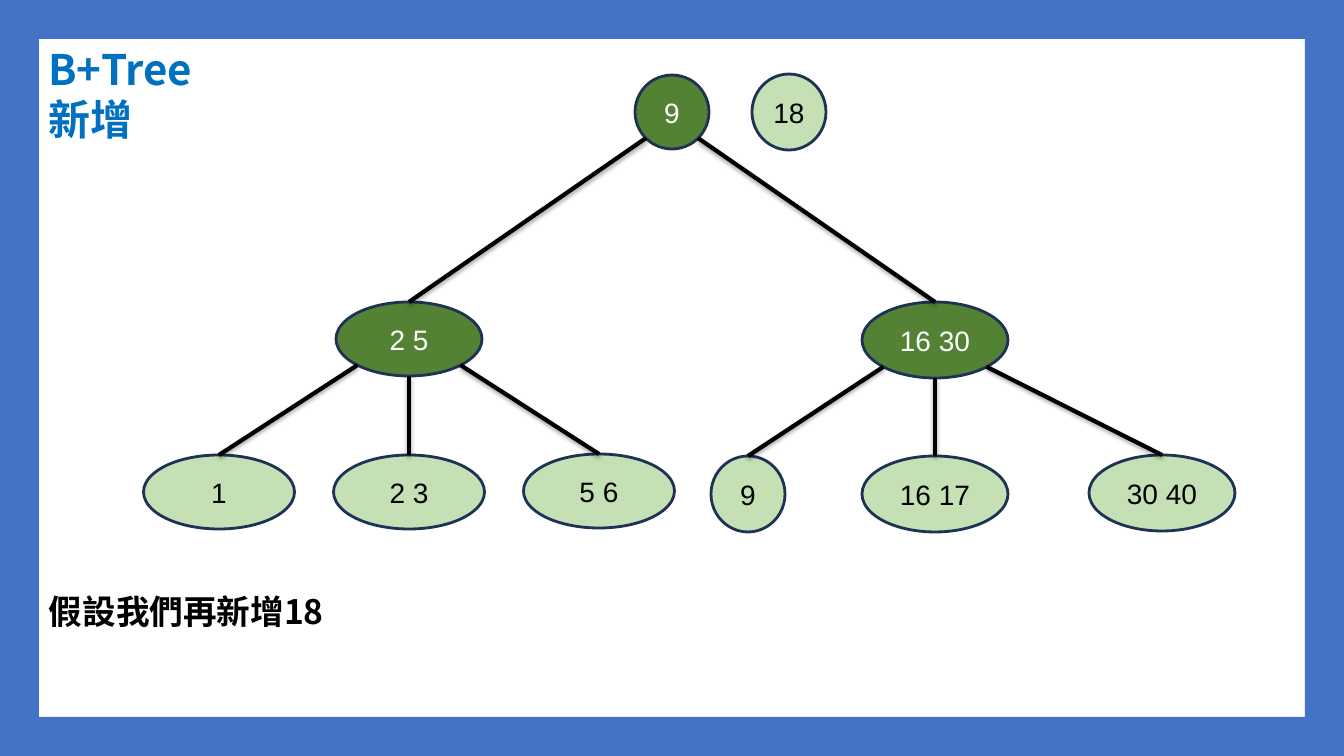
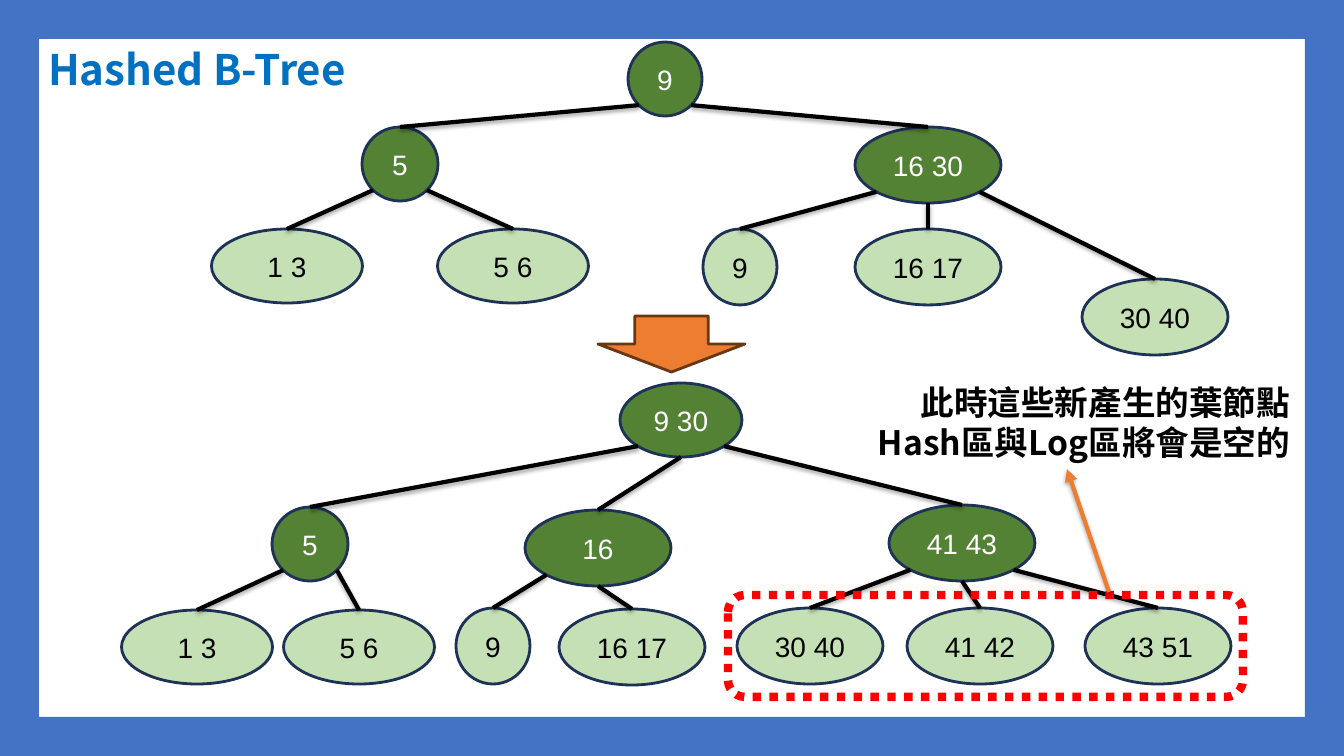
from dataclasses import dataclass
from math import cos, pi, sin

from lxml.etree import SubElement
from pptx import Presentation
from pptx.dml.color import RGBColor
from pptx.enum.dml import MSO_LINE
from pptx.enum.shapes import MSO_CONNECTOR, MSO_SHAPE
from pptx.enum.text import MSO_ANCHOR, MSO_AUTO_SIZE, PP_ALIGN
from pptx.oxml.ns import qn
from pptx.util import Pt

EMU_PER_PX = 914400 / 100.8
WIDTH, HEIGHT, BAND = 1344, 756, 39

BLACK = RGBColor(0x00, 0x00, 0x00)
WHITE = RGBColor(0xFF, 0xFF, 0xFF)
BLUE = RGBColor(0x44, 0x72, 0xC4)
TITLE_BLUE = RGBColor(0x00, 0x70, 0xC0)
NAVY = RGBColor(0x1E, 0x32, 0x56)
GREEN = RGBColor(0x54, 0x82, 0x35)
LIGHT_GREEN = RGBColor(0xC5, 0xE0, 0xB4)
ORANGE = RGBColor(0xED, 0x7D, 0x31)
BROWN = RGBColor(0x68, 0x37, 0x15)
RED = RGBColor(0xFF, 0x00, 0x00)

NODE_FONT = "Arial"
TEXT_FONT = "Noto Sans CJK TC"

CIRCLE = (74, 74)
DISC = (76, 74)
ROUND = (74, 76)
MEDIUM = (122, 74)
OVAL = (146, 74)
WIDE = (146, 76)
LONG = (151, 74)

LEFT, MIDDLE, RIGHT = -1, 0, 1
SLOTS = {2: (LEFT, RIGHT), 3: (LEFT, MIDDLE, RIGHT)}


def px(value):
    return round(value * EMU_PER_PX)


@dataclass
class Node:
    text: str
    cx: int
    top: int
    size: tuple
    children: tuple = ()
    slots: tuple = ()

    def exit_point(self, slot):
        w, h = self.size
        angle = pi / 2 - slot * pi / 4
        return self.cx + w / 2 * cos(angle), self.top + h / 2 * (1 + sin(angle))


class Deck:
    def __init__(self):
        self.prs = Presentation()
        self.prs.slide_width, self.prs.slide_height = px(WIDTH), px(HEIGHT)
        self.layout = self.prs.slide_layouts[5]
        for ph in list(self.layout.placeholders)[1:]:
            ph.element.getparent().remove(ph.element)
        self.slide = None

    def add_slide(self, title, height):
        self.slide = self.prs.slides.add_slide(self.layout)
        if len(self.prs.slides) == 1:
            self.add_bands()
        sp = self.slide.shapes.title
        sp.left, sp.top, sp.width, sp.height = map(px, (38, 38, 1267, height))
        self.set_text(sp, title, 30, TITLE_BLUE)

    def add_bands(self):
        for box in ((0, 0, WIDTH, BAND), (0, HEIGHT - BAND, WIDTH, BAND),
                    (0, 0, BAND, HEIGHT), (WIDTH - BAND, 0, BAND, HEIGHT)):
            sp = self.shape(MSO_SHAPE.RECTANGLE, box, BLUE)
            self.layout.shapes.element.append(sp.element)

    def shape(self, preset, box, fill=None, line=None, line_width=2):
        sp = self.slide.shapes.add_shape(preset, *map(px, box))
        sp.shadow.inherit = False
        if fill is None:
            sp.fill.background()
        else:
            sp.fill.solid()
            sp.fill.fore_color.rgb = fill
        if line is None:
            sp.line.fill.background()
        else:
            sp.line.color.rgb = line
            sp.line.width = Pt(line_width)
        return sp

    def style_text(self, tf, font, size, color, bold, align):
        for p in tf.paragraphs:
            p.alignment = align
            for r in p.runs:
                r.font.name, r.font.size, r.font.bold = font, Pt(size), bold
                r.font.color.rgb = color
                SubElement(r.font._element, qn("a:ea"), typeface=font)

    def set_text(self, sp, text, size, color, align=PP_ALIGN.LEFT):
        tf = sp.text_frame
        tf.text = text
        tf.word_wrap = True
        tf.auto_size = MSO_AUTO_SIZE.SHAPE_TO_FIT_TEXT
        tf.vertical_anchor = MSO_ANCHOR.TOP
        self.style_text(tf, TEXT_FONT, size, color, True, align)

    def textbox(self, text, box, align=PP_ALIGN.LEFT):
        sp = self.slide.shapes.add_textbox(*map(px, box))
        self.set_text(sp, text, 24, BLACK, align)

    def line(self, start, end, color=BLACK, arrow=False):
        cxn = self.slide.shapes.add_connector(
            MSO_CONNECTOR.STRAIGHT, *map(px, (*start, *end)))
        cxn.line.color.rgb = color
        cxn.line.width = Pt(3)
        sp_pr = cxn.element.spPr
        if arrow:
            SubElement(sp_pr.find(qn("a:ln")), qn("a:tailEnd"), type="triangle")
        effects = SubElement(sp_pr, qn("a:effectLst"))
        shadow = SubElement(effects, qn("a:outerShdw"), blurRad=str(Pt(3.1)),
                            dist=str(Pt(1.8)), dir="5400000", rotWithShape="0")
        shade = SubElement(shadow, qn("a:srgbClr"), val=str(BLACK))
        SubElement(shade, qn("a:alpha"), val="35000")
        return cxn

    def node(self, node):
        w, h = node.size
        fill, color = (GREEN, WHITE) if node.children else (LIGHT_GREEN, BLACK)
        sp = self.shape(MSO_SHAPE.OVAL, (node.cx - w / 2, node.top, w, h), fill, NAVY)
        tf = sp.text_frame
        tf.text = node.text
        tf.word_wrap = False
        tf.vertical_anchor = MSO_ANCHOR.MIDDLE
        self.style_text(tf, NODE_FONT, 20, color, False, PP_ALIGN.CENTER)
        return sp

    def tree(self, node):
        sp = self.node(node)
        slots = node.slots or SLOTS.get(len(node.children), ())
        for child, slot in zip(node.children, slots):
            child_sp = self.tree(child)
            cxn = self.line(node.exit_point(slot), (child.cx, child.top))
            cxn.end_connect(child_sp, 0)
        return sp


def insertion_slide(deck):
    deck.add_slide("B+Tree\n新增", 112)
    deck.tree(Node("9", 672, 75, CIRCLE, (
        Node("2 5", 409, 302, OVAL, (
            Node("1", 219, 455, LONG),
            Node("2 3", 409, 455, LONG),
            Node("5 6", 599, 454, LONG))),
        Node("16 30", 935, 302, WIDE, (
            Node("9", 748, 456, ROUND),
            Node("16 17", 935, 456, WIDE),
            Node("30 40", 1162, 455, WIDE))))))
    deck.node(Node("18", 789, 74, ROUND))
    deck.textbox("假設我們再新增18", (39, 586, 1266, 50))


def hashed_slide(deck):
    deck.add_slide("Hashed B-Tree", 61)
    deck.tree(Node("9", 665, 42, CIRCLE, (
        Node("5", 400, 127, DISC, (
            Node("1 3", 287, 229, LONG),
            Node("5 6", 513, 229, LONG))),
        Node("16 30", 928, 127, WIDE, (
            Node("9", 740, 229, ROUND),
            Node("16 17", 928, 229, WIDE),
            Node("30 40", 1155, 279, WIDE))))))
    deck.shape(MSO_SHAPE.DOWN_ARROW, (598, 316, 147, 56), ORANGE, BROWN)
    deck.tree(Node("9 30", 681, 383, MEDIUM, (
        Node("5", 310, 507, DISC, (
            Node("1 3", 197, 610, LONG),
            Node("5 6", 359, 610, LONG))),
        Node("16", 598, 510, WIDE, (
            Node("9", 493, 608, ROUND),
            Node("16 17", 632, 609, WIDE)), (LEFT, MIDDLE)),
        Node("41 43", 962, 505, WIDE, (
            Node("30 40", 810, 608, WIDE),
            Node("41 42", 980, 608, WIDE),
            Node("43 51", 1158, 608, WIDE))))))
    deck.shape(MSO_SHAPE.ROUNDED_RECTANGLE, (728, 595, 515, 102),
               line=RED, line_width=6).line.dash_style = MSO_LINE.ROUND_DOT
    deck.textbox("此時這些新產生的葉節點\nHash區與Log區將會是空的",
                 (785, 377, 515, 92), PP_ALIGN.RIGHT)
    deck.line((1109, 592), (1067, 469), ORANGE, arrow=True)


def main():
    deck = Deck()
    insertion_slide(deck)
    hashed_slide(deck)
    deck.prs.save("out.pptx")


if __name__ == "__main__":
    main()
